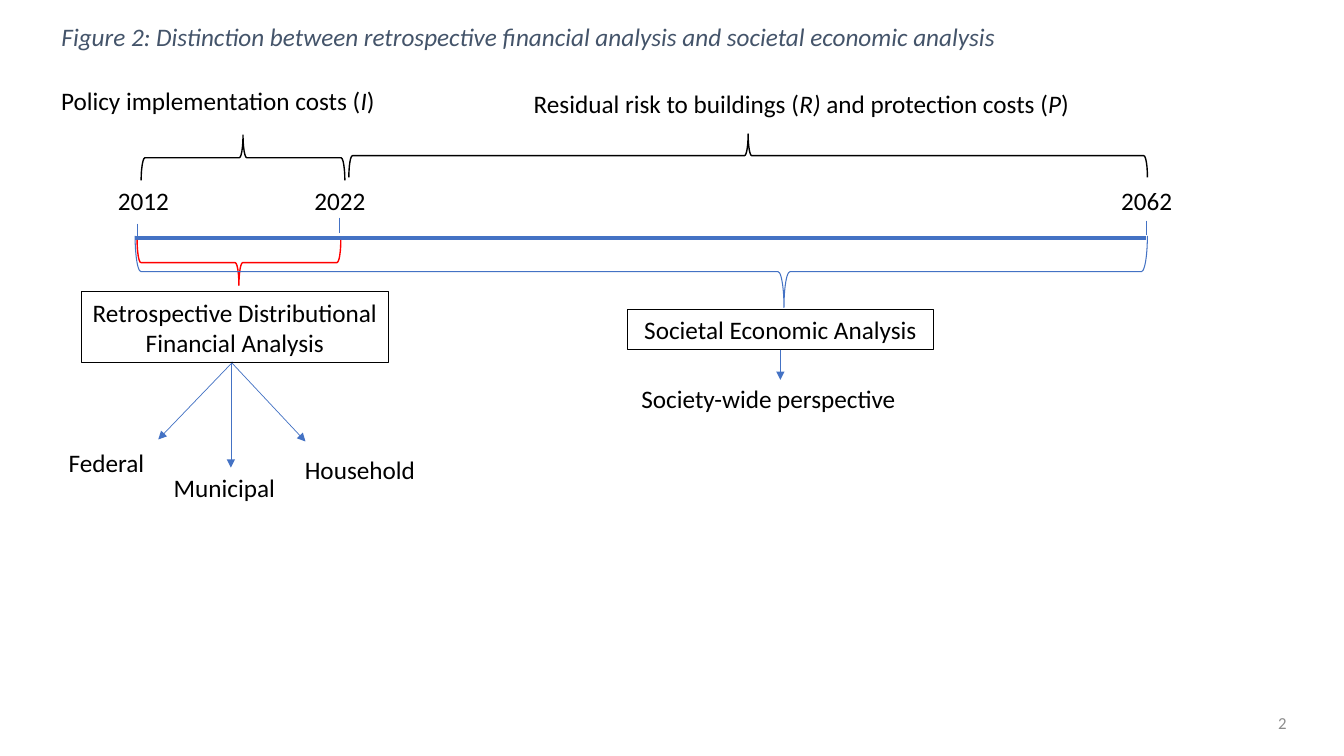
"""Build the slide contrasting retrospective financial and societal economic analysis."""
from dataclasses import dataclass
from typing import Optional

from lxml import etree
from pptx import Presentation
from pptx.dml.color import RGBColor
from pptx.enum.shapes import MSO_CONNECTOR, MSO_SHAPE
from pptx.enum.text import MSO_ANCHOR, MSO_AUTO_SIZE, PP_ALIGN
from pptx.oxml.ns import qn
from pptx.util import Pt

PX = 9144
STRAIGHT = MSO_CONNECTOR.STRAIGHT
RECTANGLE, LEFT_BRACE = MSO_SHAPE.RECTANGLE, MSO_SHAPE.LEFT_BRACE
LEFT, CENTER = PP_ALIGN.LEFT, PP_ALIGN.CENTER
BOTTOM_SIDE = 2
TITLE_ONLY = 5
POINT_UP, POINT_DOWN = 90, 270
COLORS = {"black": "000000", "white": "FFFFFF", "blue": "4472C4",
          "red": "FF0000", "slate": "44546A", "gray": "8C8C8C"}
FRAME_FORMAT = {"auto_size": MSO_AUTO_SIZE.NONE, "vertical_anchor": MSO_ANCHOR.MIDDLE}


@dataclass
class Span:
    text: str
    italic: bool = False


@dataclass
class Label:
    spans: list[Span]
    left: int
    top: int
    width: int
    height: int = 40
    align: PP_ALIGN = CENTER
    wrap: bool = True
    size: int = 18
    color: str = "black"
    outline: Optional[str] = None


@dataclass
class Brace:
    left: int
    top: int
    width: int
    depth: int
    turn: int
    color: str
    weight: float = 1
    point: float = 0.5


@dataclass
class Line:
    start: tuple[int, int]
    end: tuple[int, int]
    weight: float = 0.5
    arrow: bool = False


TITLE = Label([Span("Figure 2: Distinction between retrospective financial analysis "
                    "and societal economic analysis", True)],
              51, 16, 1215, align=LEFT, color="slate")
RETROSPECTIVE = Label([Span("Retrospective Distributional Financial Analysis")],
                      81, 289, 304, 71, outline="black")
SOCIETAL = Label([Span("Societal Economic Analysis")], 622, 307, 304, outline="black")
LABELS = [
    *(Label([Span(year)], left, 179, 71, align=LEFT, wrap=False)
      for year, left in (("2012", 107), ("2022", 302), ("2062", 1102))),
    Label([Span("Federal ")], 45, 439, 127),
    Label([Span("Municipal")], 159, 464, 127),
    Label([Span("Household")], 284, 446, 146),
    Label([Span("Society-wide perspective ")], 604, 375, 322),
    Label([Span("Policy implementation costs ("), Span("I", True), Span(")")],
          42, 80, 348, outline="white"),
    Label([Span("Residual risk to buildings ("), Span("R)", True),
           Span(" and protection costs ("), Span("P", True), Span(") ")],
          442, 83, 711, outline="white"),
    Label([Span("2")], 1251, 705, 42, 25, size=12, color="gray"),
    RETROSPECTIVE,
]
BRACES = [
    Brace(136, 238, 202, 45, POINT_DOWN, "red"),
    Brace(134, 234, 1004, 71, POINT_DOWN, "blue", 0.75, 0.641),
    Brace(140, 134, 202, 45, POINT_UP, "black"),
    Brace(346, 133, 792, 43, POINT_UP, "black"),
]
LINES = [
    Line((134, 236), (1137, 236), 3),
    Line((136, 222), (136, 236)),
    Line((337, 216), (337, 231)),
    Line((1137, 219), (1137, 233)),
    Line((229, 359), (303, 438), arrow=True),
    Line((229, 359), (229, 464), arrow=True),
    Line((231, 359), (157, 436), arrow=True),
]
SOCIETY_ARROW = Line((774, 347), (774, 377), arrow=True)


def rgb(name: str) -> RGBColor:
    return RGBColor.from_string(COLORS[name])


def apply(target, values: dict) -> None:
    for name, value in values.items():
        setattr(target, name, value)


def outline(shape, color: str, weight: float) -> None:
    shape.line.color.rgb = rgb(color)
    shape.line.width = Pt(weight)


def write(box, label: Label) -> None:
    frame = box.text_frame
    apply(frame, {**FRAME_FORMAT, "word_wrap": label.wrap})
    para = frame.paragraphs[0]
    para.alignment = label.align
    for span in label.spans:
        run = para.add_run()
        run.text = span.text
        apply(run.font, {"name": "Calibri", "size": Pt(label.size), "italic": span.italic})
        run.font.color.rgb = rgb(label.color)


def draw_label(page, label: Label):
    bounds = [PX * n for n in (label.left, label.top, label.width, label.height)]
    if label.outline:
        box = page.shapes.add_shape(RECTANGLE, *bounds)
        box.shadow.inherit = False
        box.fill.background()
        outline(box, label.outline, 0.75)
    else:
        box = page.shapes.add_textbox(*bounds)
    write(box, label)
    return box


def draw_brace(page, brace: Brace) -> None:
    inset = (brace.width - brace.depth) * PX // 2
    shape = page.shapes.add_shape(LEFT_BRACE, brace.left * PX + inset, brace.top * PX - inset,
                                  brace.depth * PX, brace.width * PX)
    shape.rotation = brace.turn
    shape.adjustments[1] = brace.point
    shape.shadow.inherit = False
    shape.fill.background()
    outline(shape, brace.color, brace.weight)


def draw_line(page, line: Line):
    ends = [PX * n for n in (*line.start, *line.end)]
    connector = page.shapes.add_connector(STRAIGHT, *ends)
    outline(connector, "blue", line.weight)
    if line.arrow:
        etree.SubElement(connector.line._get_or_add_ln(), qn("a:tailEnd"), type="triangle")
    etree.SubElement(connector._element.spPr, qn("a:effectLst"))
    return connector


def draw_title(page) -> None:
    title = page.shapes.title
    apply(title, {name: PX * getattr(TITLE, name) for name in ("left", "top", "width", "height")})
    write(title, TITLE)


def main() -> None:
    deck = Presentation()
    apply(deck, {"slide_width": 1333 * PX, "slide_height": 750 * PX})
    page = deck.slides.add_slide(deck.slide_layouts[TITLE_ONLY])
    draw_title(page)
    for line in LINES:
        draw_line(page, line)
    for brace in BRACES:
        draw_brace(page, brace)
    for label in LABELS:
        draw_label(page, label)
    societal_box = draw_label(page, SOCIETAL)
    draw_line(page, SOCIETY_ARROW).begin_connect(societal_box, BOTTOM_SIDE)
    deck.save("out.pptx")


if __name__ == "__main__":
    main()
